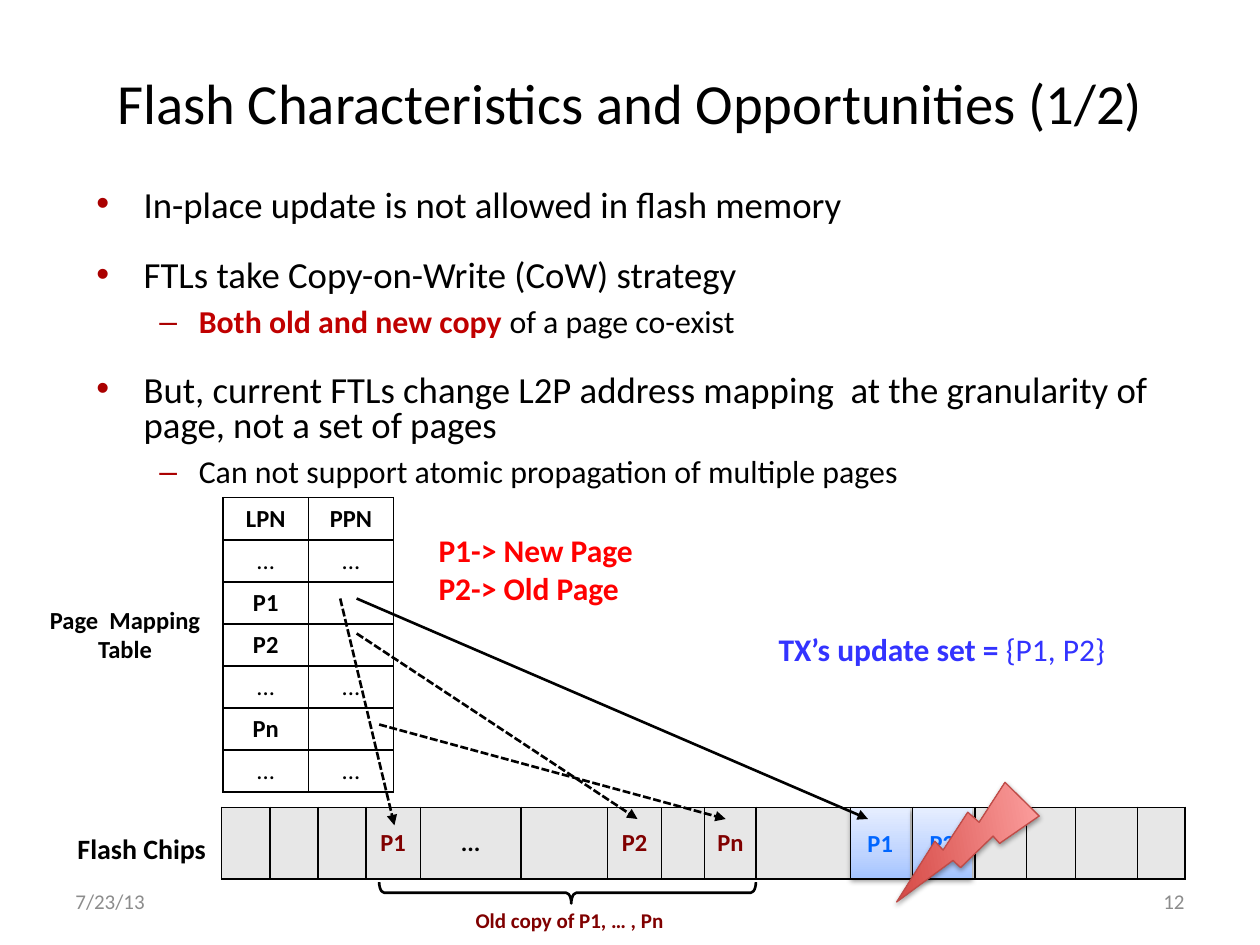
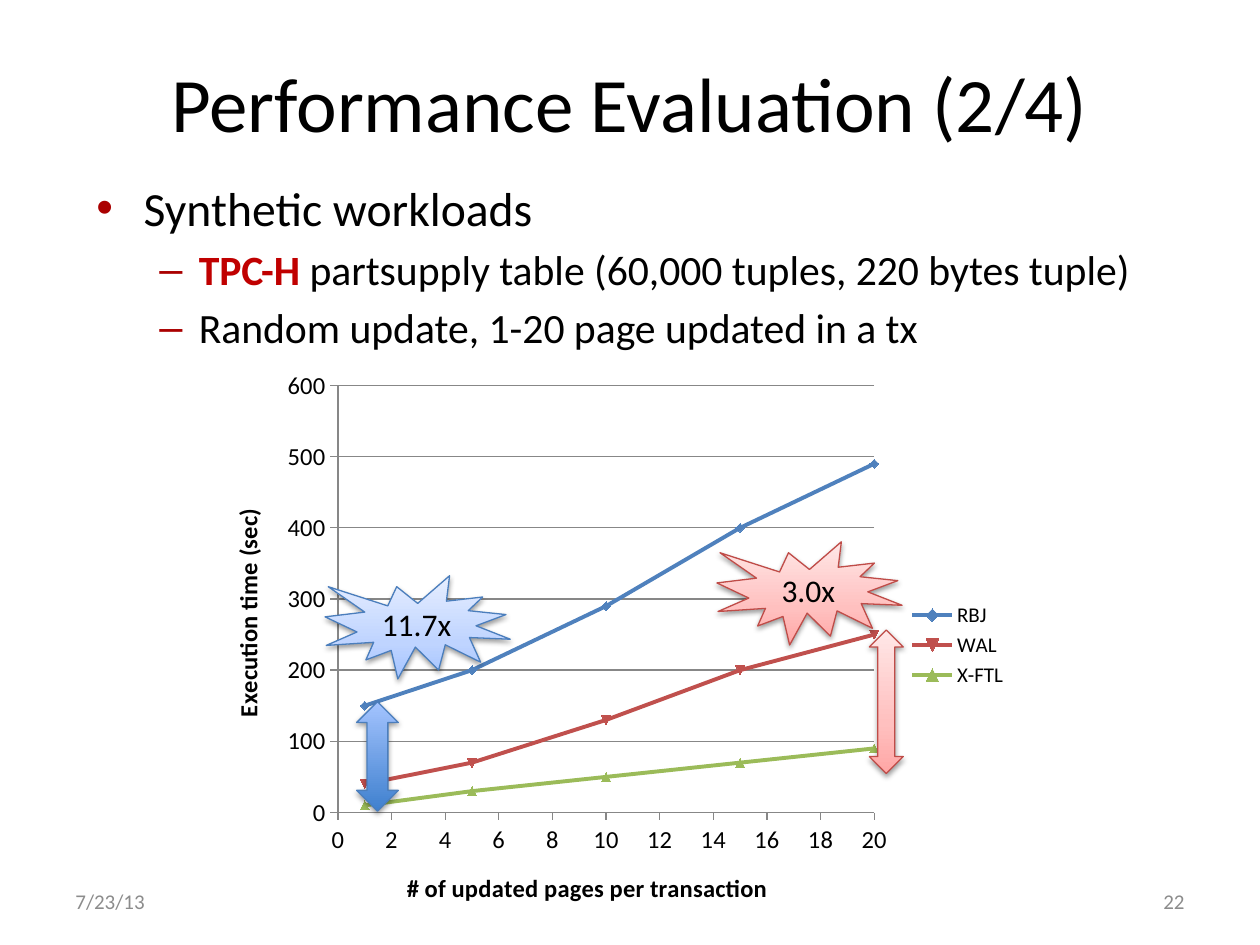
"""Build two slides on flash page mapping and a synthetic workload evaluation."""
from pptx import Presentation
from pptx.chart.data import XyChartData
from pptx.dml.color import RGBColor
from pptx.enum.chart import XL_CHART_TYPE as ChartType, XL_LEGEND_POSITION as LegendSpot, XL_TICK_MARK as Tick
from pptx.enum.dml import MSO_LINE
from pptx.enum.shapes import MSO_CONNECTOR, MSO_SHAPE as Shape
from pptx.enum.text import MSO_ANCHOR as Anchor, PP_ALIGN as Align
from pptx.oxml import parse_xml
from pptx.oxml.ns import nsdecls
from pptx.util import Pt

FONT = "Calibri"
COLORS = {
    "black": "000000", "bullet": "AA0000", "emphasis": "C00000", "footer": "8C8C8C",
    "old": "800000", "new": "0066FF", "warning": "FF0000", "update": "3333FF",
    "chip": "E7E7E7", "grid": "878787", "blue edge": "4B7EBC", "red edge": "BF4C48",
    "RBJ": "4F81BD", "WAL": "C0504D", "X-FTL": "9BBB59",
}
GRADIENTS = {
    "pale blue": [(0, "A4C4FF"), (35, "BFD4FF"), (100, "E6EEFF")],
    "strong blue": [(0, "3F80CE"), (100, "A4C4FF")],
    "pale red": [(0, "FFA6A5"), (35, "FFC0BF"), (100, "FFE7E7")],
    "strong red": [(0, "D1403C"), (100, "FFA6A5")],
}
TITLE_BOX = (48, 21.6, 624, 73.4)
DATE = "7/23/13"
DATE_BOX, NUMBER_BOX = (36, 500.5, 168, 28.8), (516, 500.5, 168, 28.8)
BULLETS = [
    {"mark": "•", "left": 27, "hang": 27, "line_spacing": 0.8},
    {"mark": "–", "left": 58.5, "hang": 22.5, "line_spacing": 1.0},
]

FLASH = {
    "title": "Flash Characteristics and Opportunities (1/2)", "title size": 32.4,
    "number": "12", "sizes": (21, 18.2), "body box": (48, 105, 624, 179),
    "points": [
        (0, [("In-place update is not allowed in flash memory", False)]),
        (0, [("FTLs take Copy-on-Write (CoW) strategy", False)]),
        (1, [("Both old and new copy ", True), ("of a page co-exist", False)]),
        (0, [("But, current FTLs change L2P address mapping  at the granularity of "
              "page, not a set of pages", False)]),
        (1, [("Can not support atomic propagation of multiple pages", False)]),
    ],
}
EVALUATION = {
    "title": "Performance Evaluation (2/4)", "title size": 44,
    "number": "22", "sizes": (27.2, 23.8), "body box": (48, 105, 624, 98.6),
    "points": [
        (0, [("Synthetic workloads", False)]),
        (1, [("TPC-H ", True), ("partsupply table (60,000 tuples, 220 bytes tuple)", False)]),
        (1, [("Random update, 1-20 page updated in a tx", False)]),
    ],
}
MAPPING = [("LPN", "PPN"), ("...", "..."), ("P1", ""), ("P2", ""), ("...", "..."), ("Pn", ""), ("...", "...")]
CHIP_WIDTHS = [27.5, 27.5, 27.5, 31, 57.5, 49.5, 31, 24.5, 29.5, 54, 35.5, 35.5, 29.5, 28, 35.5, 27]
CHIP_PAGES = {3: "P1", 4: "...", 6: "P2", 8: "Pn"}
NEW_PAGES = {"P1": 486, "P2": 521.5}
LABELS = [
    ((15, 342, 113, 41), ["Page  Mapping", "Table"], 14, "black", Align.CENTER),
    ((26, 471.5, 110, 27), ["Flash Chips"], 16, "black", Align.CENTER),
    ((260.5, 515, 130, 22), ["Old copy of P1, … , Pn"], 12, "old", Align.CENTER),
    ((243.5, 300, 212, 51), ["P1-> New Page", "P2-> Old Page"], 18, "warning", Align.LEFT),
]
MAPPING_ARROWS = [
    ((194.4, 342), (225.4, 471.6), True),
    ((216.7, 414), (414.7, 468), True),
    ((203.8, 342), (496, 468), False),
    ((203.8, 362), (364.3, 468), True),
]
PAGES_UPDATED = [1, 5, 10, 15, 20]
SECONDS = {
    "RBJ": [150, 200, 290, 400, 490],
    "WAL": [40, 70, 130, 200, 250],
    "X-FTL": [10, 30, 50, 70, 90],
}
GAPS = [
    (Shape.UP_DOWN_ARROW, (203.8, 401, 23.8, 62.6), "strong blue", "blue edge", ""),
    (Shape.UP_DOWN_ARROW, (496.8, 360, 19.4, 82), "pale red", "red edge", ""),
    (Shape.EXPLOSION1, (409.7, 309.6, 105.8, 59), "pale red", "red edge", "3.0x"),
    (Shape.EXPLOSION1, (185.8, 329, 105.8, 59), "pale blue", "blue edge", "11.7x"),
]


def rgb(name):
    return RGBColor.from_string(COLORS[name])


def place(box):
    return [Pt(length) for length in box]


def style(font, size, color="black", bold=False):
    for name, value in {"name": FONT, "size": Pt(size), "bold": bold}.items():
        setattr(font, name, value)
    font.color.rgb = rgb(color)


def write(frame, lines, size, color="black", bold=False, align=Align.CENTER, anchor=Anchor.TOP):
    frame.word_wrap, frame.vertical_anchor = True, anchor
    for index, line in enumerate(lines):
        paragraph = frame.add_paragraph() if index else frame.paragraphs[0]
        paragraph.alignment = align
        run = paragraph.add_run()
        run.text = line
        style(run.font, size, color, bold)


def add_label(slide, box, lines, *args, **kwargs):
    write(slide.shapes.add_textbox(*place(box)).text_frame, lines, *args, **kwargs)


def add_points(slide, box, points, sizes):
    frame = slide.shapes.add_textbox(*place(box)).text_frame
    frame.word_wrap = True
    for index, (level, parts) in enumerate(points):
        bullet, size = BULLETS[level], sizes[level]
        paragraph = frame.add_paragraph() if index else frame.paragraphs[0]
        paragraph.level = level
        paragraph.line_spacing = bullet["line_spacing"]
        paragraph.space_before = Pt(0.2 * size if level else 20)
        properties = paragraph._p.get_or_add_pPr()
        properties.set("marL", str(Pt(bullet["left"])))
        properties.set("indent", str(-Pt(bullet["hang"])))
        for xml in (f'<a:buClr {nsdecls("a")}><a:srgbClr val="{COLORS["bullet"]}"/></a:buClr>',
                    f'<a:buFont {nsdecls("a")} typeface="Arial"/>',
                    f'<a:buChar {nsdecls("a")} char="{bullet["mark"]}"/>'):
            properties.append(parse_xml(xml))
        for text, stressed in parts:
            run = paragraph.add_run()
            run.text = text
            style(run.font, size, "emphasis" if stressed else "black", stressed)


def start_slide(deck, content):
    slide = deck.slides.add_slide(deck.slide_layouts[5])
    title = slide.shapes.title
    title.left, title.top, title.width, title.height = place(TITLE_BOX)
    write(title.text_frame, [content["title"]], content["title size"], anchor=Anchor.MIDDLE)
    add_points(slide, content["body box"], content["points"], content["sizes"])
    for box, text, align in ((DATE_BOX, DATE, Align.LEFT), (NUMBER_BOX, content["number"], Align.RIGHT)):
        add_label(slide, box, [text], 12, "footer", align=align, anchor=Anchor.MIDDLE)
    return slide


def add_glossy(slide, kind, box, gradient, edge=None):
    shape = slide.shapes.add_shape(kind, *place(box))
    stops = "".join(f'<a:gs pos="{pos * 1000}"><a:srgbClr val="{color}"/></a:gs>'
                    for pos, color in GRADIENTS[gradient])
    shape.fill.gradient()
    old_fill = shape._element.spPr.find("{*}gradFill")
    shape._element.spPr.replace(old_fill, parse_xml(
        f'<a:gradFill {nsdecls("a")} rotWithShape="1"><a:gsLst>{stops}</a:gsLst>'
        '<a:lin ang="16200000" scaled="0"/></a:gradFill>'))
    if edge:
        shape.line.color.rgb, shape.line.width = rgb(edge), Pt(0.75)
    else:
        shape.line.fill.background()
    shape.shadow.inherit = False
    shape._element.spPr.find("{*}effectLst").append(parse_xml(
        f'<a:outerShdw {nsdecls("a")} blurRad="{Pt(3.1)}" dist="{Pt(1.6)}" dir="5400000" rotWithShape="0">'
        '<a:srgbClr val="000000"><a:alpha val="38000"/></a:srgbClr></a:outerShdw>'))
    return shape


def add_arrow(slide, start, end, dashed):
    arrow = slide.shapes.add_connector(MSO_CONNECTOR.STRAIGHT, *place(start + end))
    arrow.line.color.rgb, arrow.line.width = rgb("black"), Pt(1.5)
    if dashed:
        arrow.line.dash_style = MSO_LINE.SQUARE_DOT
    arrow.line._get_or_add_ln().append(parse_xml(f'<a:tailEnd {nsdecls("a")} type="triangle"/>'))
    arrow._element.spPr.append(parse_xml(f'<a:effectLst {nsdecls("a")}/>'))


def add_grid(slide, left, top, widths, row_height, rows, fill=None, color="black", flush=False):
    table = slide.shapes.add_table(len(rows), len(widths), *place(
        (left, top, sum(widths), row_height * len(rows)))).table
    table.first_row = table.horz_banding = False
    for column, width in zip(table.columns, widths):
        column.width = Pt(width)
    for row, texts in zip(table.rows, rows):
        row.height = Pt(row_height)
        for cell, text in zip(row.cells, texts):
            if fill:
                cell.fill.solid()
                cell.fill.fore_color.rgb = rgb(fill)
            else:
                cell.fill.background()
            if flush:
                cell.margin_left = cell.margin_right = cell.margin_top = cell.margin_bottom = 0
                cell.vertical_anchor = Anchor.MIDDLE
            paragraph = cell.text_frame.paragraphs[0]
            paragraph.alignment = Align.CENTER
            if text:
                run = paragraph.add_run()
                run.text = text
                dots = text == "..."
                style(run.font, 14, "black" if dots else color, flush or not dots)
            else:
                paragraph._p.get_or_add_endParaRPr().set("sz", "1400")
            for index, side in enumerate("LRTB"):
                cell._tc.get_or_add_tcPr().insert(index, parse_xml(
                    f'<a:ln{side} {nsdecls("a")} w="{Pt(1)}"><a:solidFill>'
                    f'<a:srgbClr val="{COLORS["black"]}"/></a:solidFill></a:ln{side}>'))


def build_flash(deck):
    slide = start_slide(deck, FLASH)
    chips = [CHIP_PAGES.get(index, "") for index in range(len(CHIP_WIDTHS))]
    add_grid(slide, 126.7, 461.3, CHIP_WIDTHS, 41, [chips], "chip", "old", True)
    add_grid(slide, 127.5, 284.4, [48.7, 48.7], 24, MAPPING)
    for box, lines, size, color, align in LABELS:
        add_label(slide, box, lines, size, color, True, align)

    update_set = slide.shapes.add_textbox(*place((437, 356.4, 202.5, 29))).text_frame
    write(update_set, ["TX’s update set = "], 18, "update", True)
    update_set.word_wrap = False
    members = update_set.paragraphs[0].add_run()
    members.text = "{P1, P2}"
    style(members.font, 18, "update")

    brace = slide.shapes.add_shape(Shape.LEFT_BRACE, *place((318.2, 402.5, 12.2, 215.3)))
    brace.rotation = 270
    brace.adjustments[0], brace.adjustments[1] = 0.24, 0.51
    brace.fill.background()
    brace.line.color.rgb, brace.line.width = rgb("black"), Pt(1.5)
    brace.shadow.inherit = False

    for page, left in NEW_PAGES.items():
        new_page = add_glossy(slide, Shape.RECTANGLE, (left, 461.8, 34, 40), "pale blue")
        write(new_page.text_frame, [page], 14, "new", True, anchor=Anchor.MIDDLE)
    for start, end, dashed in MAPPING_ARROWS:
        add_arrow(slide, start, end, dashed)
    failure = add_glossy(slide, Shape.LIGHTNING_BOLT, (522.7, 435.6, 56.9, 88.6), "strong red", "red edge")
    failure.rotation = 80.2


def build_chart(slide):
    data = XyChartData()
    for name, seconds in SECONDS.items():
        line = data.add_series(name)
        for pages, value in zip(PAGES_UPDATED, seconds):
            line.add_data_point(pages, value)
    chart = slide.shapes.add_chart(
        ChartType.XY_SCATTER_LINES, *place((118.8, 203.8, 464.4, 329.8)), data).chart
    style(chart.font, 10)
    chart.has_title = False
    chart.has_legend = True
    chart.legend.position, chart.legend.include_in_layout = LegendSpot.RIGHT, False
    style(chart.legend.font, 12)
    chart.plots[0].vary_by_categories = False

    axes = [(chart.category_axis, "# of updated pages per transaction", 20, 2, False),
            (chart.value_axis, "Execution time (sec)", 600, 100, True)]
    for axis, caption, top, step, grid in axes:
        settings = {"minimum_scale": 0, "maximum_scale": top, "major_unit": step,
                    "has_major_gridlines": grid, "major_tick_mark": Tick.OUTSIDE,
                    "minor_tick_mark": Tick.NONE}
        for name, value in settings.items():
            setattr(axis, name, value)
        style(axis.tick_labels.font, 14)
        title_run = axis.axis_title.text_frame.paragraphs[0].add_run()
        title_run.text = caption
        style(title_run.font, 14, bold=True)
        for rule in [axis.format.line] + ([axis.major_gridlines.format.line] if grid else []):
            rule.color.rgb, rule.width = rgb("grid"), Pt(0.75)

    for index, line in enumerate(chart.plots[0].series, 1):
        line._element.idx.val = index
        line.smooth = False
        line.format.line.color.rgb, line.format.line.width = rgb(line.name), Pt(2.25)
        line.marker.size = 5
        line.marker.format.fill.solid()
        line.marker.format.fill.fore_color.rgb = rgb(line.name)
        line.marker.format.line.color.rgb = rgb(line.name)

    area = chart._chartSpace.chart.plotArea
    for layout in area.findall("{*}layout"):
        area.remove(layout)
    spans = "".join(f'<c:{key} val="{value}"/>' for key, value in
                    (("x", 0.16), ("y", 0.05), ("w", 0.66), ("h", 0.74)))
    area.insert(0, parse_xml(
        f'<c:layout {nsdecls("c")}><c:manualLayout><c:layoutTarget val="inner"/>'
        f'<c:xMode val="edge"/><c:yMode val="edge"/>{spans}</c:manualLayout></c:layout>'))


def build_evaluation(deck):
    slide = start_slide(deck, EVALUATION)
    build_chart(slide)
    for kind, box, gradient, edge, ratio in GAPS:
        gap = add_glossy(slide, kind, box, gradient, edge)
        if ratio:
            write(gap.text_frame, [ratio], 18, anchor=Anchor.MIDDLE)
            gap.text_frame.word_wrap = False


def main():
    deck = Presentation()
    deck.slide_width, deck.slide_height = Pt(720), Pt(540)
    build_flash(deck)
    build_evaluation(deck)
    deck.save("out.pptx")


if __name__ == "__main__":
    main()
